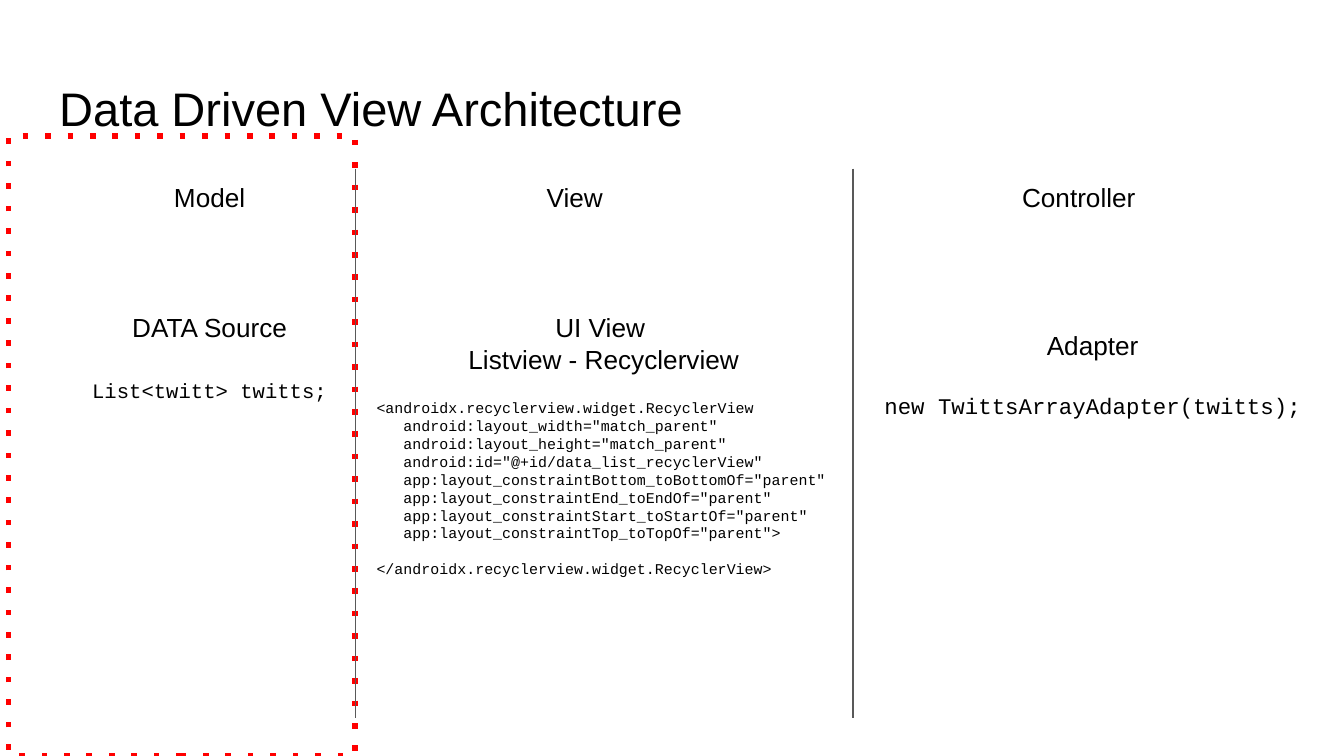
from pptx import Presentation
from pptx.dml.color import RGBColor
from pptx.enum.dml import MSO_LINE
from pptx.enum.shapes import MSO_CONNECTOR, MSO_SHAPE
from pptx.enum.text import MSO_ANCHOR as Anchor, MSO_AUTO_SIZE as AutoSize, PP_ALIGN as Align
from pptx.oxml.ns import qn
from pptx.util import Inches, Pt
from lxml.etree import SubElement

THEME = {
    "text": RGBColor.from_string("000000"),
    "divider": RGBColor.from_string("595959"),
    "highlight": RGBColor.from_string("FF0000"),
    "divider_width": 0.75,
    "highlight_width": 3,
    "inset": 0.1,
    "code_indent": 14.4,
}
STYLES = {
    "title": {"name": "Arial", "size": Pt(25.2)},
    "label": {"name": "Arial", "size": Pt(14)},
    "model_code": {"name": "Courier New", "size": Pt(11)},
    "adapter_code": {"name": "Courier New", "size": Pt(12)},
    "layout_code": {"name": "Courier New", "size": Pt(8)},
}
LABEL_GAP = {"space_before": Pt(16.7)}
CENTER = {"alignment": Align.CENTER}
LEFT = {"alignment": Align.LEFT}

TITLE = "Data Driven View Architecture"
TITLE_AREA = (3.4, 8.71, 93.2, 11.2)
HIGHLIGHT_AREA = (0.63, 17.96, 25.8, 82.04)
DIVIDER_COLUMNS = (26.46, 63.46)
DIVIDER_ROWS = (22.3, 94.93)

HEADINGS = [("Model", 3.4), ("View", 30.57), ("Controller", 68.07)]
HEADING_TOP, HEADING_WIDTH, HEADING_HEIGHT = 22.26, 24.4, 7.82

ATTRIBUTES = [
    'android:layout_width="match_parent"',
    'android:layout_height="match_parent"',
    'android:id="@+id/data_list_recyclerView"',
    'app:layout_constraintBottom_toBottomOf="parent"',
    'app:layout_constraintEnd_toEndOf="parent"',
    'app:layout_constraintStart_toStartOf="parent"',
    'app:layout_constraintTop_toTopOf="parent">',
]
MODEL = [
    ("DATA Source", "label", CENTER),
    ("List<twitt> twitts;", "model_code",
     {**CENTER, **LABEL_GAP, "line_spacing": 1.15, "space_after": Pt(12)}),
]
VIEW = [
    ("UI View ", "label", CENTER),
    ("Listview - Recyclerview", "label", CENTER),
    ("<androidx.recyclerview.widget.RecyclerView", "layout_code",
     {**LEFT, "space_before": Pt(13)}),
    *[(attribute, "layout_code", {**LEFT, "indent": THEME["code_indent"]})
      for attribute in ATTRIBUTES],
    ("</androidx.recyclerview.widget.RecyclerView>", "layout_code",
     {**LEFT, "space_before": Pt(9.6)}),
]
CONTROLLER = [
    ("Adapter", "label", CENTER),
    ("new TwittsArrayAdapter(twitts);", "adapter_code", {**CENTER, **LABEL_GAP}),
]
BODIES = [
    (MODEL, (3.4, 39.47, 24.4, 15.29)),
    (VIEW, (27.03, 39.47, 35.8, 41.6)),
    (CONTROLLER, (63.4, 41.78, 35.8, 15.64)),
]

presentation = Presentation()
presentation.slide_width = Inches(10)
presentation.slide_height = presentation.slide_width * 9 // 16
slide = presentation.slides.add_slide(presentation.slide_layouts[5])


def across(share):
    return round(presentation.slide_width * share / 100)


def down(share):
    return round(presentation.slide_height * share / 100)


def place(area):
    left, top, width, height = area
    return across(left), down(top), across(width), down(height)


def apply(target, values):
    for name, value in values.items():
        setattr(target, name, value)


def fill_text(shape, paragraphs, **frame_format):
    frame = shape.text_frame
    sides = ("margin_left", "margin_top", "margin_right", "margin_bottom")
    apply(frame, {**dict.fromkeys(sides, Inches(THEME["inset"])), "word_wrap": True, **frame_format})
    for number, (text, style, layout) in enumerate(paragraphs):
        paragraph = frame.add_paragraph() if number else frame.paragraphs[0]
        layout = dict(layout)
        indent = layout.pop("indent", 0)
        apply(paragraph, layout)
        if indent:
            paragraph._p.get_or_add_pPr().set("marL", str(Pt(indent)))
        run = paragraph.add_run()
        run.text = text
        apply(run.font, STYLES[style])
        run.font.color.rgb = THEME["text"]


def add_text(area, paragraphs):
    box = slide.shapes.add_textbox(*place(area))
    fill_text(box, paragraphs, auto_size=AutoSize.SHAPE_TO_FIT_TEXT, vertical_anchor=Anchor.TOP)


def add_highlight(area):
    frame = slide.shapes.add_shape(MSO_SHAPE.RECTANGLE, *place(area))
    frame.shadow.inherit = False
    frame.fill.background()
    frame.line.color.rgb = THEME["highlight"]
    apply(frame.line, {"width": Pt(THEME["highlight_width"]), "dash_style": MSO_LINE.ROUND_DOT})
    frame._element.spPr.find(".//" + qn("a:prstDash")).set("val", "dot")


def add_divider(column):
    top, bottom = map(down, DIVIDER_ROWS)
    divider = slide.shapes.add_connector(
        MSO_CONNECTOR.STRAIGHT, across(column), top, across(column), bottom)
    divider.line.color.rgb = THEME["divider"]
    divider.line.width = Pt(THEME["divider_width"])
    SubElement(divider._element.spPr, qn("a:effectLst"))


title = slide.shapes.title
apply(title, dict(zip(("left", "top", "width", "height"), place(TITLE_AREA))))
fill_text(title, [(TITLE, "title", LEFT)], auto_size=AutoSize.NONE, vertical_anchor=Anchor.MIDDLE)

add_highlight(HIGHLIGHT_AREA)
for column in DIVIDER_COLUMNS:
    add_divider(column)
for heading, left in HEADINGS:
    add_text((left, HEADING_TOP, HEADING_WIDTH, HEADING_HEIGHT), [(heading, "label", CENTER)])
for paragraphs, area in BODIES:
    add_text(area, paragraphs)

presentation.save("out.pptx")
